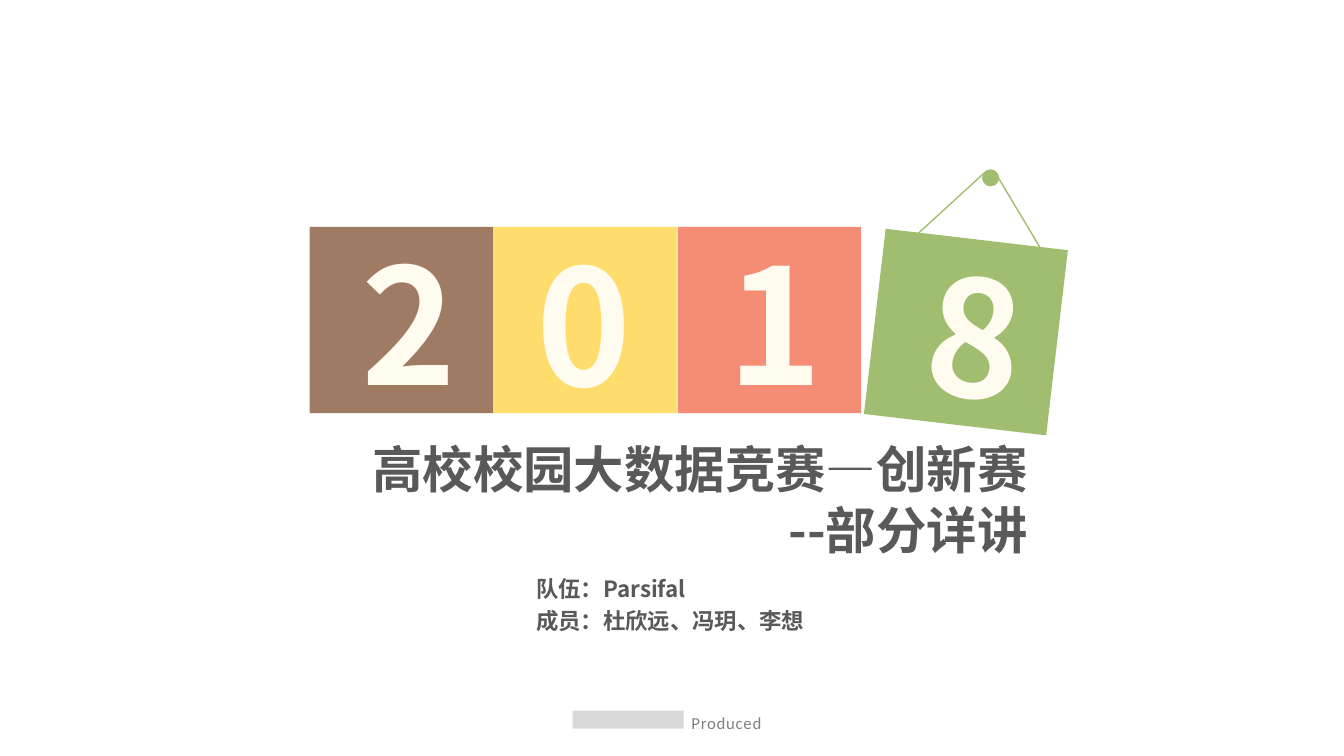
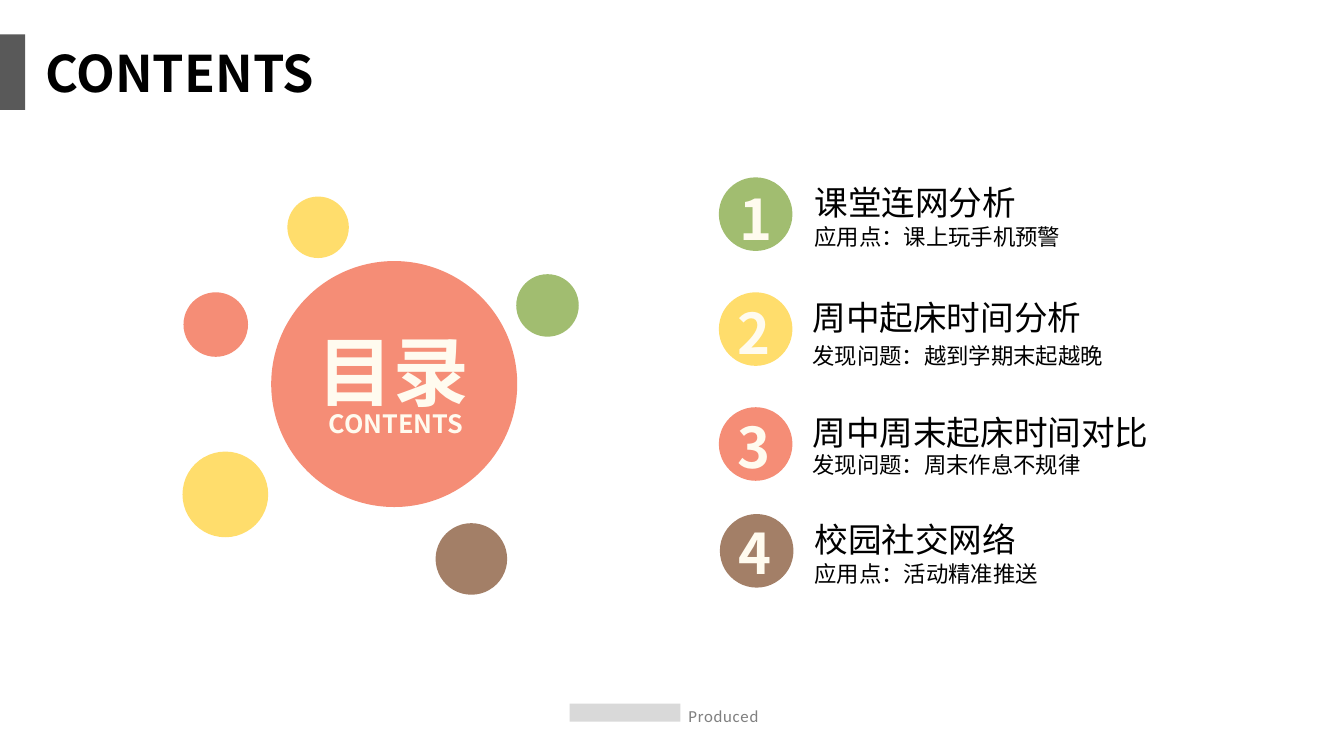
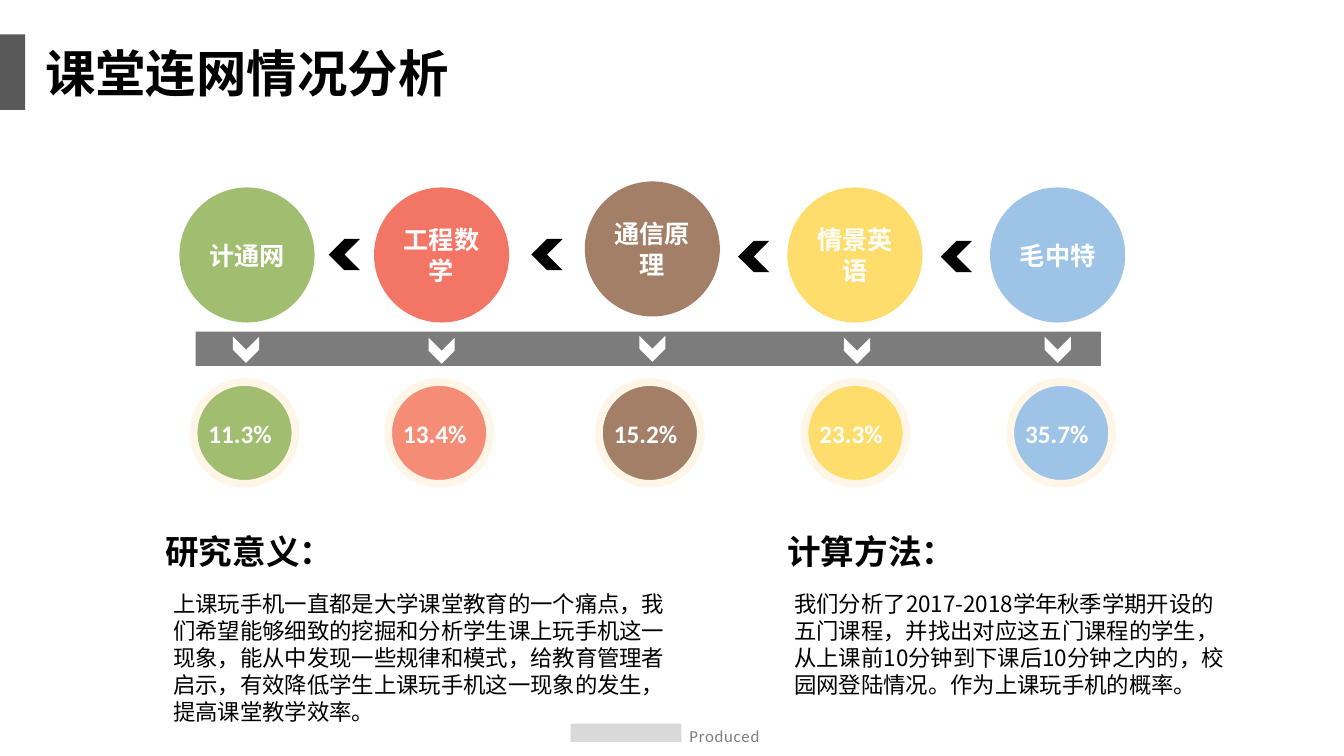
from lxml.etree import SubElement
from pptx import Presentation
from pptx.dml.color import RGBColor
from pptx.enum.shapes import MSO_SHAPE
from pptx.enum.text import MSO_ANCHOR, PP_ALIGN
from pptx.oxml.ns import qn
from pptx.util import Inches, Pt

COLORS = {
    "brown": "A37F67", "tile_brown": "A07B63", "yellow": "FFDD6C",
    "salmon": "F58D76", "red": "F37565", "green": "A1BD70", "blue": "9DC3E6",
    "cream": "FFFBEF", "ring": "FFF6E7", "white": "FFFFFF", "black": "000000",
    "dark": "595959", "bar": "7C7C7C", "credit": "808080", "pale": "D9D9D9",
}
CJK = "Noto Sans CJK SC"
LATIN = "Calibri"


def add_shape(slide, kind, at, color, rotation=0):
    shape = slide.shapes.add_shape(kind, *map(Inches, at))
    shape.shadow.inherit = False
    shape.fill.solid()
    shape.fill.fore_color.rgb = RGBColor.from_string(COLORS[color])
    shape.line.fill.background()
    shape.rotation = rotation
    return shape


def write(shape, text, size, color="black", bold=False, wrap=False,
          align=PP_ALIGN.LEFT, font=CJK, spacing=None):
    frame = shape.text_frame
    frame.text = text
    frame.word_wrap = wrap
    for para in frame.paragraphs:
        para.alignment = align
        para.line_spacing = spacing
        for span in para.runs:
            span.font.size = Pt(size)
            span.font.bold = bold
            span.font.color.rgb = RGBColor.from_string(COLORS[color])
            span.font.name = font
            SubElement(span.font._element, qn("a:ea")).set("typeface", font)


deck = Presentation()
deck.slide_width, deck.slide_height = Inches(13.33), Inches(7.5)
cover, contents, lessons = [
    deck.slides.add_slide(deck.slide_layouts[6]) for _ in range(3)
]

for page, title, width in [(contents, "CONTENTS", 3.03), (lessons, "课堂连网情况分析", 4.24)]:
    add_shape(page, MSO_SHAPE.RECTANGLE, (0, 0.34, 0.25, 0.75), "dark")
    box = page.shapes.add_textbox(Inches(0.35), Inches(0.37), Inches(width), Inches(0.71))
    write(box, title, 36, bold=True)

tiles = [
    ("2", "tile_brown", 3.07, 2.25, 0, 3.49, 2.18, 0),
    ("0", "yellow", 4.89, 2.25, 0, 5.22, 2.19, 0),
    ("1", "salmon", 6.72, 2.25, 0, 7.12, 2.18, 0),
    ("8", "green", 8.67, 2.37, 6.7, 9.11, 2.31, 6.2),
]
for digit, color, left, top, tilt, digit_left, digit_top, digit_tilt in tiles:
    add_shape(cover, MSO_SHAPE.RECTANGLE, (left, top, 1.82, 1.85), color, tilt)
    box = cover.shapes.add_textbox(Inches(digit_left), Inches(digit_top), Inches(1.2), Inches(2.04))
    box.rotation = digit_tilt
    write(box, digit, 115, "cream", bold=True)

add_shape(cover, MSO_SHAPE.OVAL, (9.74, 1.68, 0.17, 0.17), "green")
builder = cover.shapes.build_freeform(Inches(8.95), Inches(2.46))
builder.add_line_segments(
    [(Inches(x), Inches(y)) for x, y in [(9.78, 1.7), (9.87, 1.71), (10.42, 2.63)]],
    close=False,
)
string = builder.convert_to_shape()
string.shadow.inherit = False
string.fill.background()
string.line.color.rgb = RGBColor.from_string(COLORS["green"])
string.line.width = Pt(1)

box = cover.shapes.add_textbox(Inches(3.4), Inches(4.3), Inches(6.89), Inches(1.31))
write(box, "高校校园大数据竞赛—创新赛\n--部分详讲", 36, "dark", bold=True,
      wrap=True, align=PP_ALIGN.RIGHT)
box = cover.shapes.add_textbox(Inches(5.22), Inches(5.6), Inches(2.89), Inches(0.75))
write(box, "队伍：Parsifal\n成员：杜欣远、冯玥、李想", 16, "dark", bold=True, spacing=1.2)

bubbles = [
    (2.69, 2.59, 2.44, "salmon"), (1.81, 4.48, 0.85, "yellow"),
    (1.82, 2.9, 0.64, "salmon"), (2.85, 1.95, 0.61, "yellow"),
    (5.12, 2.72, 0.62, "green"), (4.32, 5.19, 0.71, "brown"),
]
for left, top, size, color in bubbles:
    add_shape(contents, MSO_SHAPE.OVAL, (left, top, size, size), color)
for at, text, size in [((3.16, 4, 1.61, 0.4), "CONTENTS", 18), ((3.05, 3.17, 1.72, 1.01), "目录", 54)]:
    write(contents.shapes.add_textbox(*map(Inches, at)), text, size, "cream", bold=True)

topics = [
    ("课堂连网分析", "应用点：课上玩手机预警", "green", 7.13, 1.76, 7.24, 1.78, 7.98, 2.16, 2.22, 2.67),
    ("周中起床时间分析", "发现问题：越到学期末起越晚", "yellow", 7.13, 2.9, 7.22, 2.91, 7.96, 3.35, 2.89, 3.12),
    ("周中周末起床时间对比", "发现问题：周末作息不规律", "salmon", 7.13, 4.04, 7.22, 4.04, 7.96, 4.43, 3.57, 2.89),
    ("校园社交网络", "应用点：活动精准推送", "brown", 7.14, 5.1, 7.23, 5.1, 7.98, 5.51, 2.22, 2.45),
]
for number, topic in enumerate(topics, 1):
    heading, detail, color, left, top, number_left, number_top, text_left, detail_top, heading_width, detail_width = topic
    add_shape(contents, MSO_SHAPE.OVAL, (left, top, 0.73, 0.73), color)
    box = contents.shapes.add_textbox(Inches(number_left), Inches(number_top), Inches(0.55), Inches(0.77))
    write(box, str(number), 40, "cream", bold=True)
    box = contents.shapes.add_textbox(Inches(text_left), Inches(top), Inches(heading_width), Inches(0.5))
    write(box, heading, 24)
    box = contents.shapes.add_textbox(Inches(text_left), Inches(detail_top), Inches(detail_width), Inches(0.37))
    write(box, detail, 16)

add_shape(lessons, MSO_SHAPE.RECTANGLE, (1.94, 3.29, 8.98, 0.34), "bar")
courses = [
    ("计通网", "11.3%", "green", "green", 1.78, 1.86, 1.92, 2.31, 3.34),
    ("工程数学", "13.4%", "red", "salmon", 3.71, 1.86, 3.85, 4.25, 3.35),
    ("通信原理", "15.2%", "brown", "brown", 5.8, 1.8, 5.94, 6.34, 3.33),
    ("情景英语", "23.3%", "yellow", "yellow", 7.81, 1.86, 7.98, 8.37, 3.35),
    ("毛中特", "35.7%", "blue", "blue", 9.82, 1.86, 10.02, 10.36, 3.34),
]
for name, share, color, share_color, left, top, share_left, mark_left, mark_top in courses:
    circle = add_shape(lessons, MSO_SHAPE.OVAL, (left, top, 1.34, 1.34), color)
    circle.text_frame.margin_left = circle.text_frame.margin_right = Inches(0.09)
    circle.text_frame.vertical_anchor = MSO_ANCHOR.MIDDLE
    write(circle, name, 18, "white", bold=True, wrap=True, align=PP_ALIGN.CENTER)
    add_shape(lessons, MSO_SHAPE.CHEVRON, (mark_left, mark_top, 0.26, 0.26), "white", 90)
    badge = add_shape(lessons, MSO_SHAPE.OVAL, (share_left, 3.79, 1.01, 1.01), share_color)
    badge.line.color.rgb = RGBColor.from_string(COLORS["ring"])
    badge.line.width = Pt(5.5)
    badge.text_frame.margin_left = badge.text_frame.margin_right = 0
    badge.text_frame.vertical_anchor = MSO_ANCHOR.MIDDLE
    write(badge, share, 18, "white", bold=True, wrap=True, font=LATIN)

for left, top in [(3.26, 2.37), (5.27, 2.37), (7.32, 2.39), (9.33, 2.39)]:
    add_shape(lessons, MSO_SHAPE.CHEVRON, (left, top, 0.31, 0.31), "black", 180)

notes = [
    ("研究意义：", 1.54, 2.82, 1.62, 5.08, 1.72,
     "上课玩手机一直都是大学课堂教育的一个痛点，我们希望能够细致的挖掘和分析学生课上玩手机这一现象，"
     "能从中发现一些规律和模式，给教育管理者启示，有效降低学生上课玩手机这一现象的发生，提高课堂教学效率。"),
    ("计算方法：", 7.71, 2.52, 7.78, 4.54, 1.18,
     "我们分析了2017-2018学年秋季学期开设的五门课程，并找出对应这五门课程的学生，"
     "从上课前10分钟到下课后10分钟之内的，校园网登陆情况。作为上课玩手机的概率。"),
]
for heading, left, width, body_left, body_width, body_height, body in notes:
    box = lessons.shapes.add_textbox(Inches(left), Inches(5.22), Inches(width), Inches(0.5))
    write(box, heading, 24, bold=True, wrap=True)
    box = lessons.shapes.add_textbox(Inches(body_left), Inches(5.81), Inches(body_width), Inches(body_height))
    write(box, body, 16, wrap=True)

for page, left, top in [(cover, 5.68, 7.05), (contents, 5.65, 6.98), (lessons, 5.66, 7.18)]:
    add_shape(page, MSO_SHAPE.RECTANGLE, (left, top, 1.1, 0.18), "pale")
    box = page.shapes.add_textbox(Inches(left + 1.08), Inches(top - 0.03), Inches(1), Inches(0.3))
    write(box, "Produced", 12, "credit", wrap=True, font=LATIN)
    box.text_frame.paragraphs[0].runs[0].font._element.set("spc", "50")

deck.save("out.pptx")
